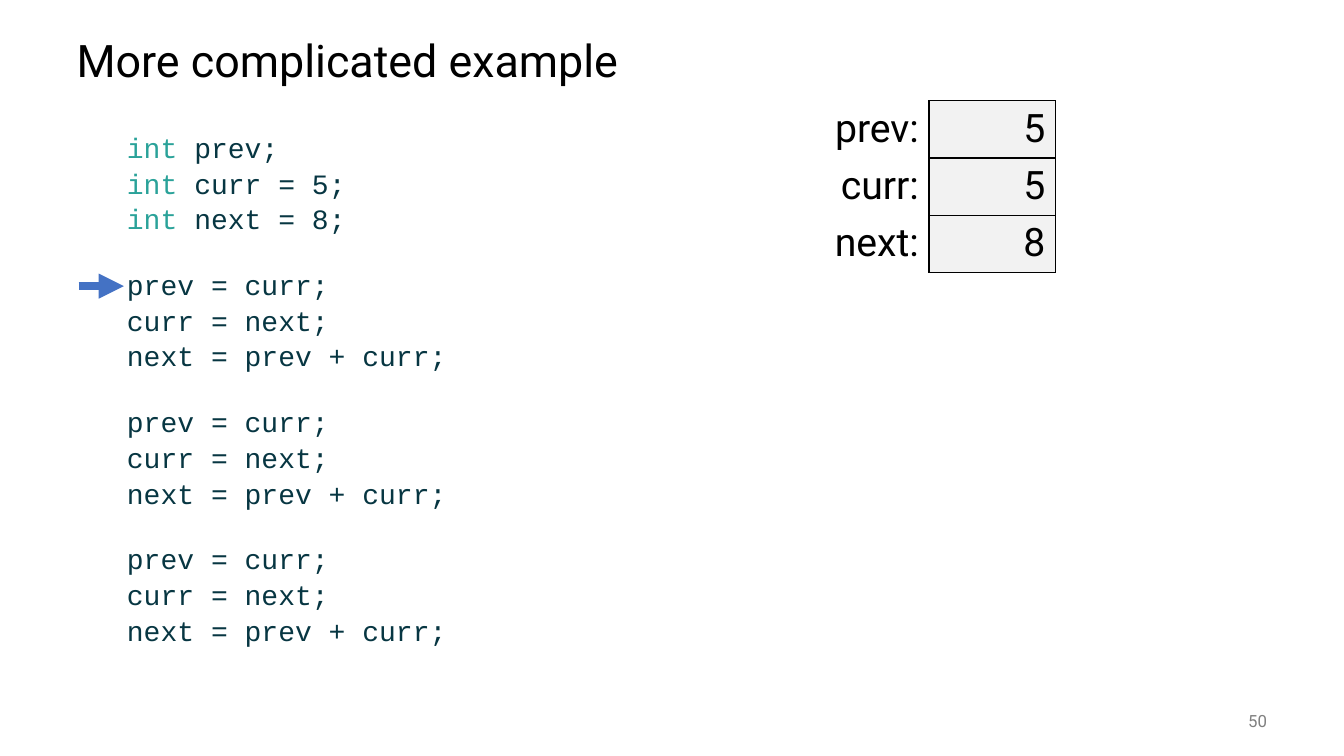
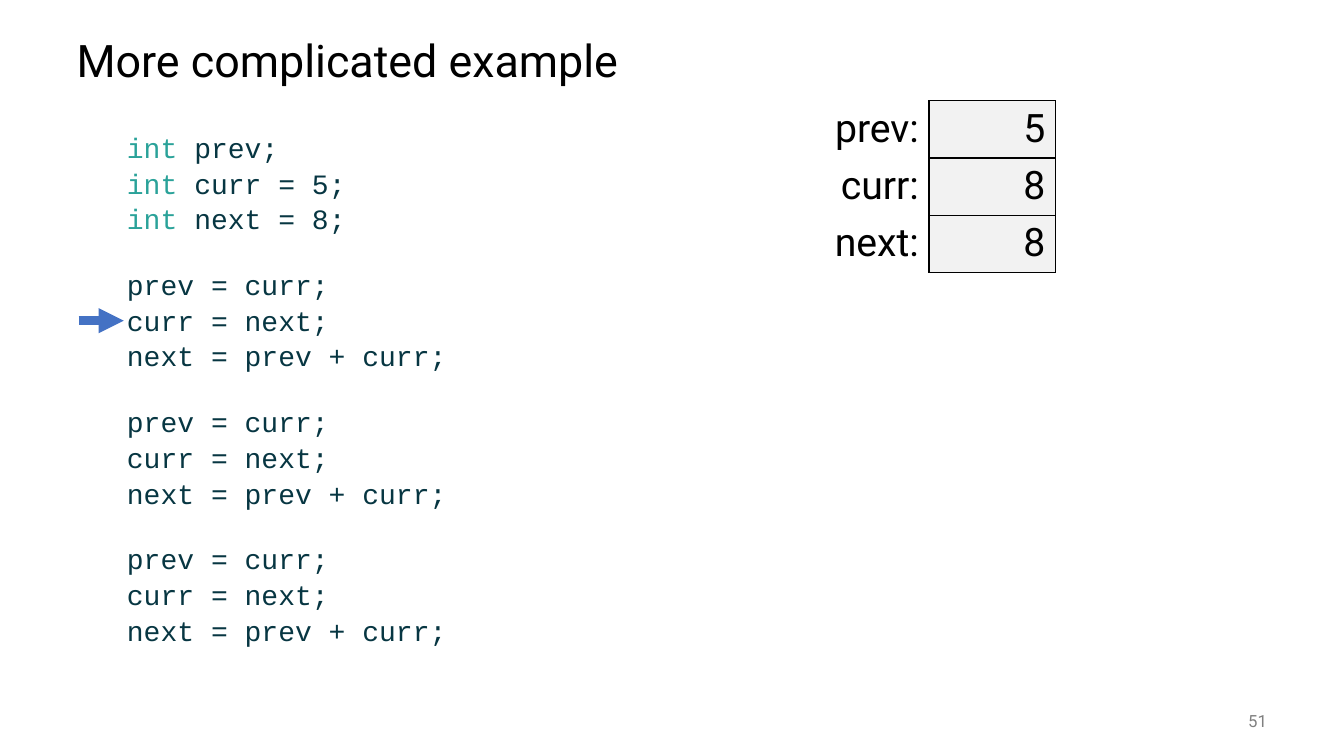
from lxml import etree
from pptx import Presentation
from pptx.dml.color import RGBColor
from pptx.enum import shapes, text
from pptx.oxml.ns import qn
from pptx.util import Cm, Pt

BLACK, CODE, KEYWORD = "000000", "073642", "2AA299"
ARROW, CELL, NUMBER = "4472C4", "F2F2F2", "808080"
SANS, MONO = "Roboto", "Courier New"

LINE_HEIGHT, LINE_GAP = 21.5, 4
ARROW_TOP, ARROW_STEP = 7.21, 0.87

DECLARATIONS = ["int prev;", "int curr = 5;", "int next = 8;"]
UPDATE = ["prev = curr;", "curr = next;", "next = prev + curr;"]
BLOCKS = [DECLARATIONS] + [UPDATE] * 3

STEPS = [
    (50, {"prev": 5, "curr": 5, "next": 8}),
    (51, {"prev": 5, "curr": 8, "next": 8}),
]


def color(value):
    return RGBColor.from_string(value)


def style(font, name, size, value):
    font.name = name
    font.size = Pt(size)
    font.color.rgb = color(value)


def add_frame(slide, left, top, width, height, anchor):
    frame = slide.shapes.add_textbox(Cm(left), Cm(top), Cm(width), Cm(height)).text_frame
    frame.word_wrap = True
    frame.vertical_anchor = anchor
    return frame


def add_title(slide, title):
    frame = add_frame(slide, 1.68, 0.64, 30.48, 1.9, text.MSO_ANCHOR.MIDDLE)
    heading = frame.paragraphs[0]
    heading.text = title
    heading.line_spacing = 0.9
    style(heading.font, SANS, 32, BLACK)


def add_number(slide, number):
    frame = add_frame(slide, 29.64, 17.65, 2.54, 1.02, text.MSO_ANCHOR.MIDDLE)
    footer = frame.paragraphs[0]
    footer.text = str(number)
    footer.alignment = text.PP_ALIGN.RIGHT
    style(footer.font, SANS, 12, NUMBER)


def add_code(slide, blocks):
    frame = add_frame(slide, 2.95, 3.25, 29.21, 13.97, text.MSO_ANCHOR.TOP)
    for block_index, block in enumerate(blocks):
        for line_index, line in enumerate(block):
            first = block_index == line_index == 0
            statement = frame.paragraphs[0] if first else frame.add_paragraph()
            statement.line_spacing = Pt(LINE_HEIGHT)
            if not first:
                block_gap = 0 if line_index else LINE_HEIGHT
                statement.space_before = Pt(LINE_GAP + block_gap)
            style(statement.font, MONO, 20, CODE)
            if line.startswith("int "):
                keyword = statement.add_run()
                keyword.text = "int "
                keyword.font.color.rgb = color(KEYWORD)
            statement.add_run().text = line.removeprefix("int ")


def add_borders(cell, sides):
    properties = cell._tc.get_or_add_tcPr()
    for side in sides:
        border = etree.SubElement(properties, qn(f"a:ln{side}"), w=str(Pt(1)))
        fill = etree.SubElement(border, qn("a:solidFill"))
        etree.SubElement(fill, qn("a:srgbClr"), val=BLACK)


def fill_cell(cell, content):
    label = cell.text_frame.paragraphs[0]
    label.text = content
    label.alignment = text.PP_ALIGN.RIGHT
    style(label.font, SANS, 28, BLACK)


def add_variables(slide, values):
    table = slide.shapes.add_table(
        len(values), 2, Cm(20.22), Cm(2.54), Cm(6.38), Cm(1.41 * len(values))
    ).table
    table.first_row = False
    table.horz_banding = False
    for row, (name, value) in enumerate(values.items()):
        name_cell, value_cell = table.cell(row, 0), table.cell(row, 1)
        fill_cell(name_cell, f"{name}:")
        add_borders(name_cell, "R")
        name_cell.fill.background()
        fill_cell(value_cell, str(value))
        add_borders(value_cell, "LRTB")
        value_cell.fill.solid()
        value_cell.fill.fore_color.rgb = color(CELL)


def add_pointer(slide, step):
    y = Cm(ARROW_TOP + step * ARROW_STEP)
    pointer = slide.shapes.add_connector(
        shapes.MSO_CONNECTOR.STRAIGHT, Cm(1.98), y, Cm(3.12), y
    )
    pointer.line.color.rgb = color(ARROW)
    pointer.line.width = Pt(6)
    etree.SubElement(pointer.line._get_or_add_ln(), qn("a:tailEnd"), type="triangle")
    etree.SubElement(pointer._element.spPr, qn("a:effectLst"))


def main():
    prs = Presentation()
    prs.slide_width, prs.slide_height = Cm(33.87), Cm(19.05)
    for step, (number, values) in enumerate(STEPS):
        slide = prs.slides.add_slide(prs.slide_layouts[6])
        add_title(slide, "More complicated example")
        add_code(slide, BLOCKS)
        add_number(slide, number)
        add_variables(slide, values)
        add_pointer(slide, step)
    prs.save("out.pptx")


if __name__ == "__main__":
    main()
